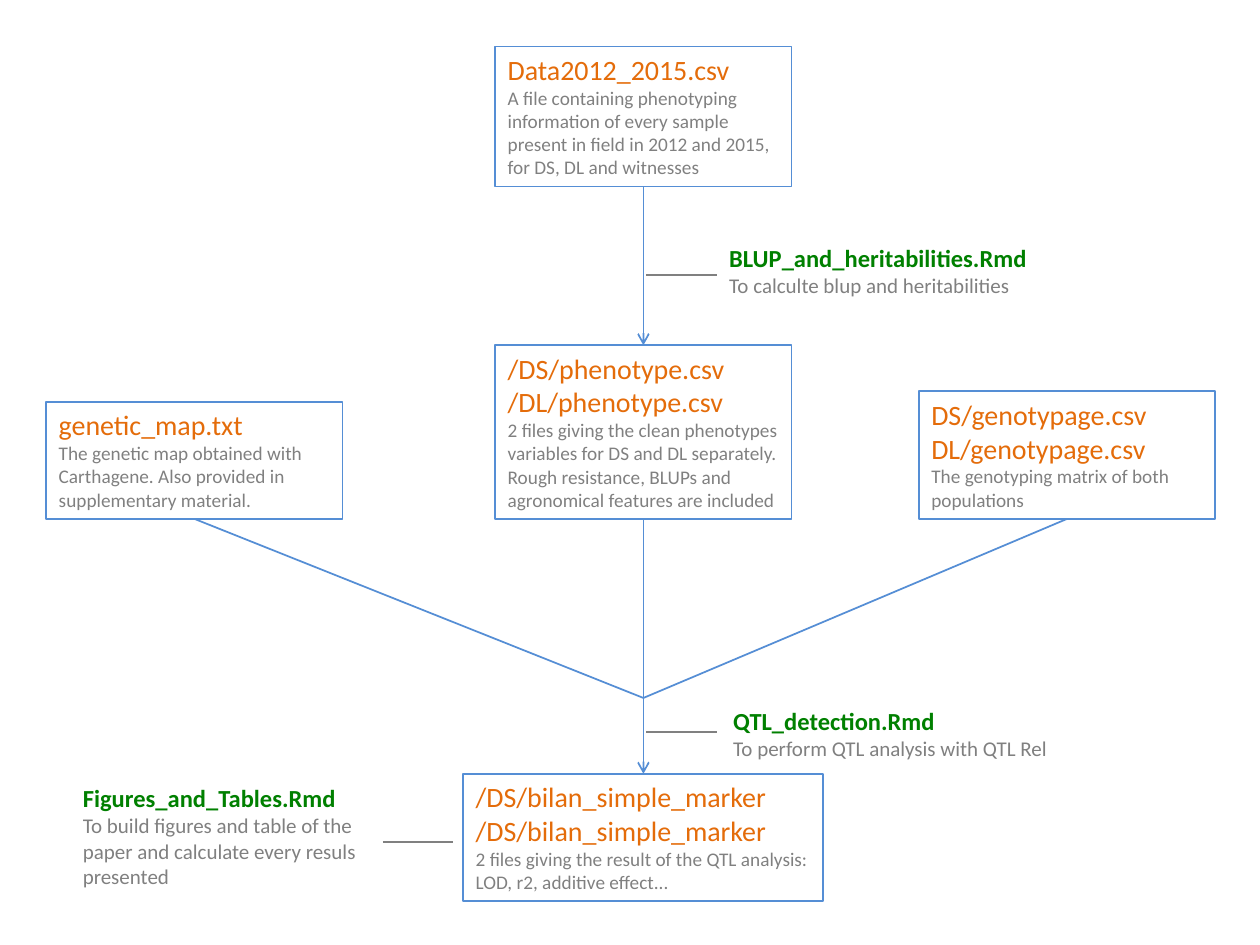
from lxml import etree
from pptx import Presentation
from pptx import util as u
from pptx.dml.color import RGBColor
from pptx.enum import shapes, text
from pptx.oxml.ns import qn

COLORS = {"flow": "558ED5", "file": "E46C0A", "script": "008000", "note": "808080"}
BOTTOM, TOP = 2, 0  # connection sites of a rectangle


class Diagram:
    """Holds the style and the slide being drawn."""

    font = "Calibri"
    line_width = u.Pt(1)

    def __init__(self, slide):
        self.slide = slide

    def color(self, key):
        return RGBColor.from_string(COLORS[key])

    def textbox(self, left, top, width, height, headings, note, style, sizes, bold=False):
        box = self.slide.shapes.add_textbox(*map(u.Cm, (left, top, width, height)))
        frame = box.text_frame
        frame.text = "\n".join(headings + [note])
        frame.word_wrap = True
        frame.auto_size = text.MSO_AUTO_SIZE.SHAPE_TO_FIT_TEXT
        for index, paragraph in enumerate(frame.paragraphs):
            is_heading = index < len(headings)
            font = paragraph.runs[0].font
            font.name = self.font
            font.size = u.Pt(sizes[0] if is_heading else sizes[1])
            font.bold = bold and is_heading
            font.color.rgb = self.color(style if is_heading else "note")
        return box

    def file_box(self, center, bottom, width, height, names, note):
        box = self.textbox(center - width / 2, bottom - height, width, height,
                           names, note, "file", (16, 11))
        box.line.color.rgb = self.color("flow")
        box.line.width = self.line_width
        return box

    def script_label(self, left, top, width, height, name, note):
        return self.textbox(left, top, width, height, [name], note,
                            "script", (14, 12), bold=True)

    def line(self, start, end, style="flow", source=None, target=None, arrow=False):
        connector = self.slide.shapes.add_connector(
            shapes.MSO_CONNECTOR.STRAIGHT, *map(u.Cm, start + end))
        if source is not None:
            connector.begin_connect(source, BOTTOM)
        if target is not None:
            connector.end_connect(target, TOP)
        connector.line.color.rgb = self.color(style)
        connector.line.width = self.line_width
        properties = connector.line._get_or_add_ln()
        if arrow:
            etree.SubElement(properties, qn("a:tailEnd"), type="arrow")
        etree.SubElement(connector._element.spPr, qn("a:effectLst"))

    def tick(self, left, y):
        self.line((left, y), (left + 1.42, y), "note")


def main():
    deck = Presentation()
    deck.slide_width, deck.slide_height = u.Cm(25.4), u.Cm(19.05)
    diagram = Diagram(deck.slides.add_slide(deck.slide_layouts[6]))

    # Columns, rows and the common box width
    map_x, main_x, genotype_x = 3.92, 12.97, 21.51
    raw_bottom, inputs_bottom, merge_y, results_top = 3.76, 10.46, 14.07, 15.6
    width = 5.97

    # Data files
    raw_data = diagram.file_box(
        main_x, raw_bottom, width, 2.82, ["Data2012_2015.csv"],
        "A file containing phenotyping information of every sample present in field "
        "in 2012 and 2015, for DS, DL and witnesses")
    phenotypes = diagram.file_box(
        main_x, inputs_bottom, width, 3.5, ["/DS/phenotype.csv", "/DL/phenotype.csv"],
        "2 files giving the clean phenotypes variables for DS and DL separately. "
        "Rough resistance, BLUPs and agronomical features are included")
    genetic_map = diagram.file_box(
        map_x, inputs_bottom, width, 2.36, ["genetic_map.txt"],
        "The genetic map obtained with Carthagene. Also provided in supplementary material.")
    genotypes = diagram.file_box(
        genotype_x, inputs_bottom, width, 2.57, ["DS/genotypage.csv", "DL/genotypage.csv"],
        "The genotyping matrix of both populations")
    results = diagram.file_box(
        main_x, results_top + 2.57, 7.26, 2.57, ["/DS/bilan_simple_marker"] * 2,
        "2 files giving the result of the QTL analysis: LOD, r2, additive effect...")

    # Flow between the files
    diagram.line((main_x, raw_bottom), (main_x, inputs_bottom - 3.5),
                 source=raw_data, target=phenotypes, arrow=True)
    for x, source in ((map_x, genetic_map), (main_x, phenotypes), (genotype_x, genotypes)):
        diagram.line((x, inputs_bottom), (main_x, merge_y), source=source)
    diagram.line((main_x, 13.08), (main_x, results_top), target=results, arrow=True)

    # Scripts and their ticks
    diagram.script_label(14.45, 4.78, 7.06, 1.37, "BLUP_and_heritabilities.Rmd",
                         "To calculte blup and heritabilities")
    diagram.script_label(14.53, 14.1, 7.06, 1.37, "QTL_detection.Rmd",
                         "To perform QTL analysis with QTL Rel")
    diagram.script_label(1.42, 15.67, 6.25, 2.39, "Figures_and_Tables.Rmd",
                         "To build figures and table of the paper and calculate "
                         "every resuls presented")
    for left, y in ((13.03, 5.54), (13.03, 14.76), (7.72, 16.97)):
        diagram.tick(left, y)

    deck.save("out.pptx")


if __name__ == "__main__":
    main()
